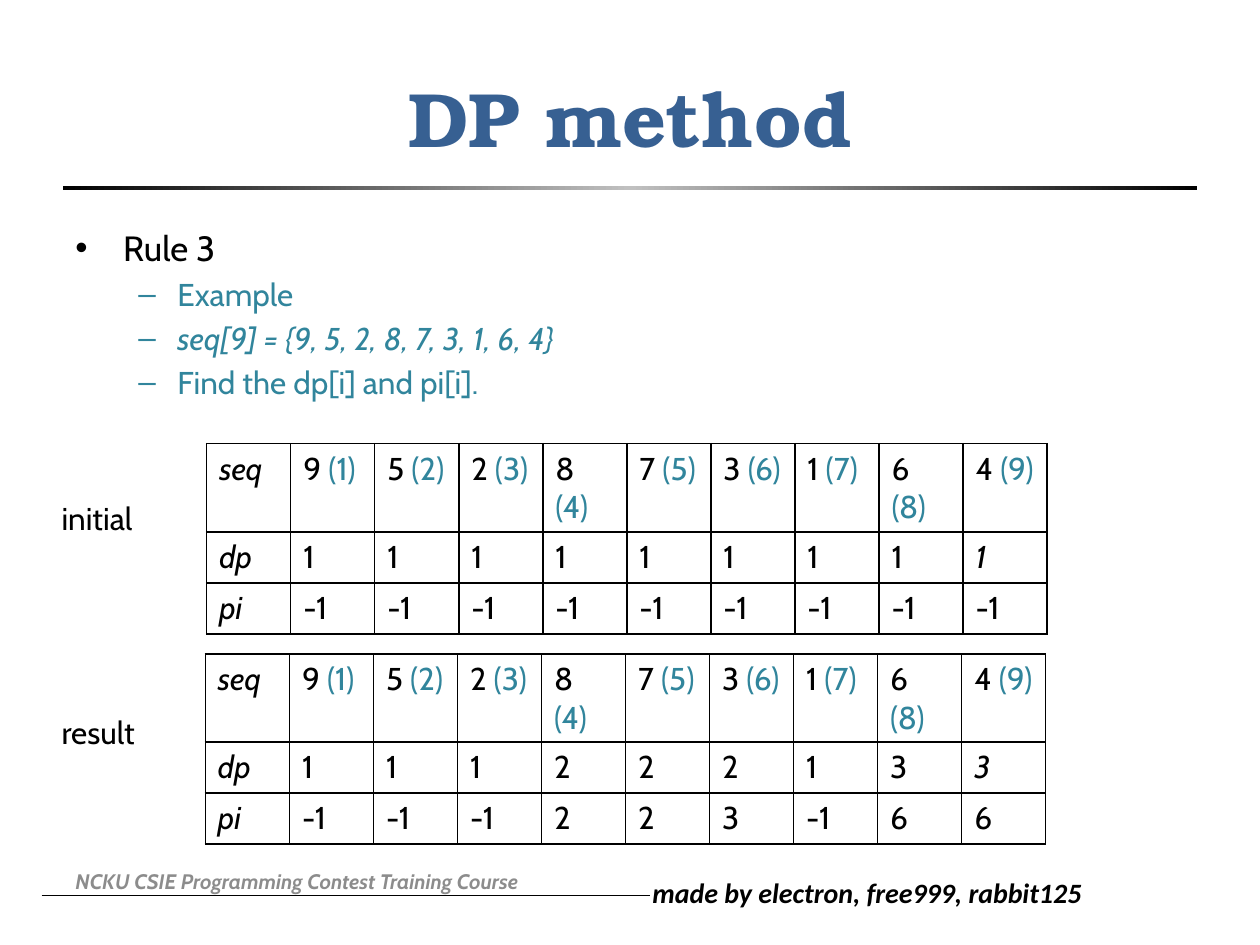
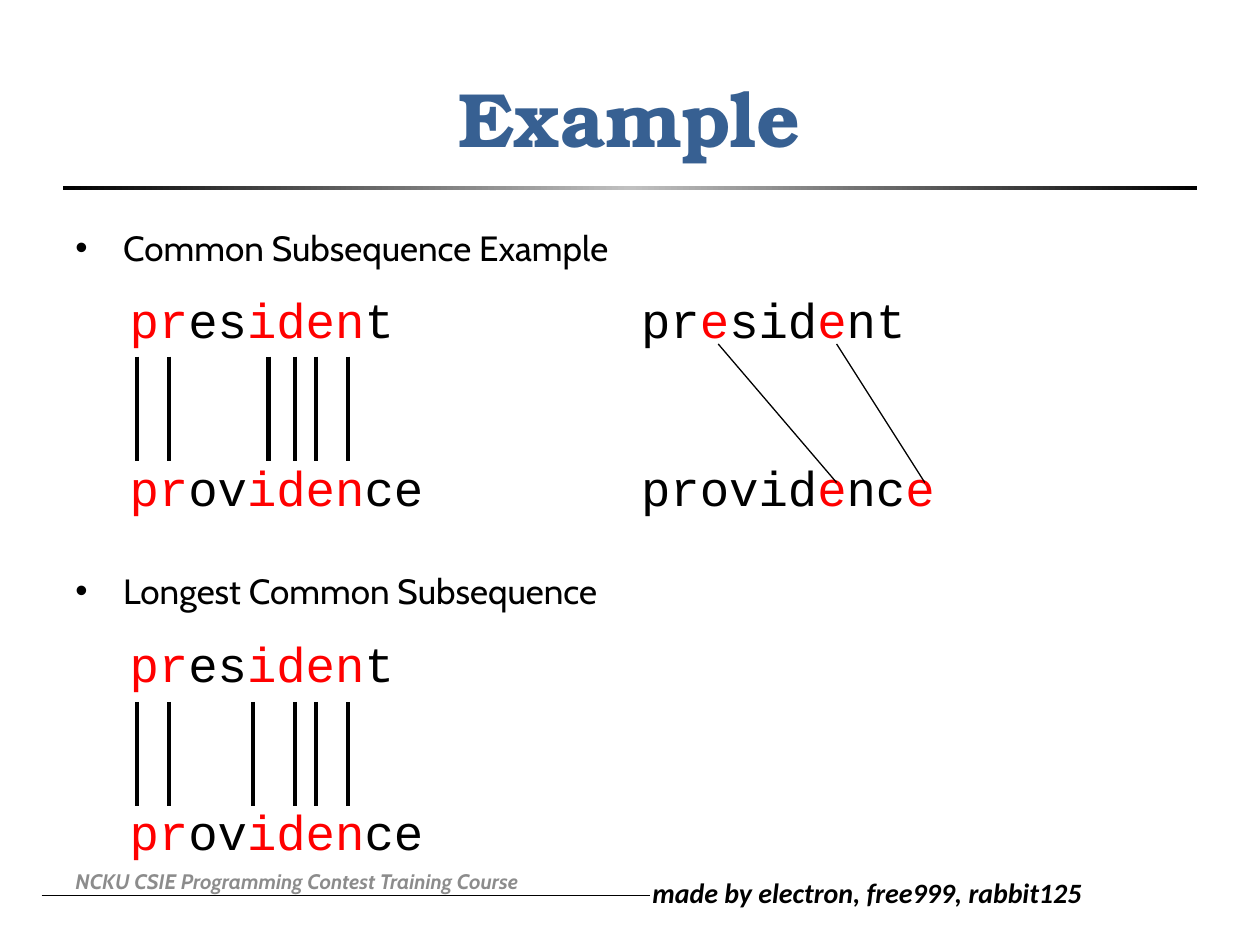
import copy
from pptx import Presentation, util as u
from pptx.dml.color import RGBColor
from pptx.enum import shapes, text
from pptx.oxml import parse_xml
from pptx.oxml.ns import qn, nsdecls

# Shared look
INK, BLUE, TEAL, RED, GREY, SILVER = (
    "000000", "376092", "31859C", "FF0000", "8C8C8C", "C0C0C0")
SANS, SERIF, MONO, SIGN = "Cabin", "TeX Gyre Bonum", "Courier New", "Calibri"
WIDE, HIGH, EDGE = 10, 7.5, 0.5
COURSE = "NCKU CSIE Programming Contest Training Course"
AUTHORS = "made by electron, free999, rabbit125"

# Content: text between asterisks takes the accent colour
RULE = "Rule 3"
STEPS = [("Example", False),
         ("seq[9] = {9,\u00a05,\u00a02,\u00a08,\u00a07,\u00a03,\u00a01,\u00a06,\u00a04}", True),
         ("Find the dp[i] and pi[i].", False)]
SEQ = [9, 5, 2, 8, 7, 3, 1, 6, 4]
TABLES = [
    ("initial", 3.91, 1.64, 3.52, [1] * 9, [-1] * 9),
    ("result", 5.61, 1.63, 5.19, [1, 1, 1, 2, 2, 2, 1, 3, 3],
     [-1, -1, -1, 2, 2, 3, -1, 6, 6]),
]
HEADS = [("Common Subsequence Example", 1.75),
         ("Longest Common Subsequence", 4.47)]
MATCH = ["*pr*es*iden*t", "*pr*ov*iden*ce"]
CROSS = ["pr*e*sid*e*nt", "provid*e*nc*e*"]
PAIRS = [(MATCH, 0.93, 2.25), (MATCH, 0.93, 4.98), (CROSS, 4.99, 2.25)]
BARS = [(2.83, [1.09, 1.34, 2.13, 2.34, 2.51, 2.76]),
        (5.57, [1.09, 1.34, 2.01, 2.34, 2.51, 2.76])]
BAR = 0.83
SLANTS = [(5.7, 6.64), (6.64, 7.34)]


def rgb(code):
    return RGBColor.from_string(code)


def write(frame, words, size=18, font=SANS, color=INK, accent=TEAL, bold=False,
          ital=False, align=None, gap=0, bullet=None, left=0, hang=0, new=False):
    """Add one paragraph to a text frame."""
    para = frame.add_paragraph() if new else frame.paragraphs[0]
    para.alignment = align
    para.space_before = u.Pt(gap)
    for i, part in enumerate(words.split("*")):
        if not part:
            continue
        run = para.add_run()
        run.text = part
        face = run.font
        face.name, face.size, face.bold, face.italic = font, u.Pt(size), bold, ital
        face.color.rgb = rgb(accent if i % 2 else color)
    if bullet:
        props = para._p.get_or_add_pPr()
        props.set("marL", str(u.Inches(left)))
        props.set("indent", str(-u.Inches(hang)))
        props.append(parse_xml(f'<a:buFont {nsdecls("a")} typeface="Arial"/>'))
        props.append(parse_xml(f'<a:buChar {nsdecls("a")} char="{bullet}"/>'))


def box(slide, x, y, w, h, mid=False):
    frame = slide.shapes.add_textbox(*map(u.Inches, (x, y, w, h))).text_frame
    frame.word_wrap = True
    frame.vertical_anchor = text.MSO_ANCHOR.MIDDLE if mid else text.MSO_ANCHOR.TOP
    return frame


def line(slide, x1, y1, x2, y2, width):
    rod = slide.shapes.add_connector(
        shapes.MSO_CONNECTOR.STRAIGHT, *map(u.Inches, (x1, y1, x2, y2)))
    rod.line.color.rgb = rgb(INK)
    rod.line.width = u.Pt(width)
    rod._element.spPr.append(parse_xml(f'<a:effectLst {nsdecls("a")}/>'))


def band(slide):
    """Rule under the title, fading to silver in the middle."""
    bar = slide.shapes.add_shape(
        shapes.MSO_SHAPE.RECTANGLE,
        *map(u.Inches, (EDGE, 1.48, WIDE - 2 * EDGE, 0.03)))
    bar.shadow.inherit = False
    bar.line.fill.background()
    bar.fill.gradient()
    bar.fill.gradient_angle = 0
    stops = bar._element.find(".//" + qn("a:gsLst"))
    stops.insert(1, copy.deepcopy(stops[0]))
    for stop, spot, tone in zip(bar.fill.gradient_stops, (0, 0.5, 1),
                                (INK, SILVER, INK)):
        stop.position = spot
        stop.color.rgb = rgb(tone)


def page(deck, name):
    """Slide with title, rule and footer."""
    slide = deck.slides.add_slide(deck.slide_layouts[5])
    line(slide, 0.33, 7.11, 5.16, 7.11, 0.5)
    write(box(slide, 5.08, 6.9, 3.89, 0.37), AUTHORS, size=16, font=SIGN,
          bold=True, ital=True)
    band(slide)
    write(box(slide, EDGE, 6.79, 4.66, 0.4, mid=True), COURSE, size=12,
          color=GREY, bold=True, ital=True)
    title = slide.shapes.title
    title.left, title.top, title.width, title.height = map(
        u.Inches, (EDGE, 0.3, WIDE - 2 * EDGE, 1.25))
    title.text_frame.vertical_anchor = text.MSO_ANCHOR.MIDDLE
    write(title.text_frame, name, size=44, font=SERIF, color=BLUE, bold=True,
          align=text.PP_ALIGN.CENTER)
    return slide


def head(slide, words, y, h=0.45):
    frame = box(slide, EDGE, y, WIDE - 2 * EDGE, h)
    write(frame, words, size=20, bullet="\u2022", left=0.38, hang=0.38)
    return frame


def frame_cell(cell):
    cell.fill.background()
    props = cell._tc.get_or_add_tcPr()
    for i, side in enumerate(("lnL", "lnR", "lnT", "lnB")):
        props.insert(i, parse_xml(
            f'<a:{side} {nsdecls("a")} w="12700"><a:solidFill>'
            f'<a:srgbClr val="{INK}"/></a:solidFill></a:{side}>'))


def grid(slide, x, y, rows, col=0.667, row=0.405):
    wide, high = len(rows[0]), len(rows)
    table = slide.shapes.add_table(
        high, wide, *map(u.Inches, (x, y, col * wide, row * high))).table
    table.first_row = table.horz_banding = False
    for item in table.columns:
        item.width = u.Inches(col)
    for r, cells in enumerate(rows):
        table.rows[r].height = u.Inches(row)
        for c, words in enumerate(cells):
            cell = table.cell(r, c)
            slant = c == 0 or (r == 1 and c == wide - 1)
            write(cell.text_frame, str(words), ital=slant)
            frame_cell(cell)


deck = Presentation()
deck.slide_width, deck.slide_height = u.Inches(WIDE), u.Inches(HIGH)

# Slide 1: rule and the two tables
slide = page(deck, "DP method")
frame = head(slide, RULE, 1.75, 1.6)
for words, slant in STEPS:
    write(frame, words, color=TEAL, ital=slant, gap=3.6, bullet="\u2013",
          left=0.81, hang=0.31, new=True)
top = [f"{n} *({i})*" for i, n in enumerate(SEQ, 1)]
for label, at, x, y, dp, pi in TABLES:
    grid(slide, x, y, [["seq"] + top, ["dp"] + dp, ["pi"] + pi])
    write(box(slide, 0.39, at, 1.09, 0.4), label)

# Slide 2: word pairs joined by lines
slide = page(deck, "Example")
for words, y in HEADS:
    head(slide, words, y)
for pair, x, y in PAIRS:
    frame = box(slide, x, y, 3.92, 1.85)
    for i, word in enumerate(pair):
        write(frame, word, size=28, font=MONO, accent=RED, gap=62 * i, new=i > 0)
for y, spots in BARS:
    for x in spots:
        line(slide, x, y, x, y + BAR, 2.5)
for start, end in SLANTS:
    line(slide, start, 2.73, end, 3.83, 0.75)

deck.save("out.pptx")
